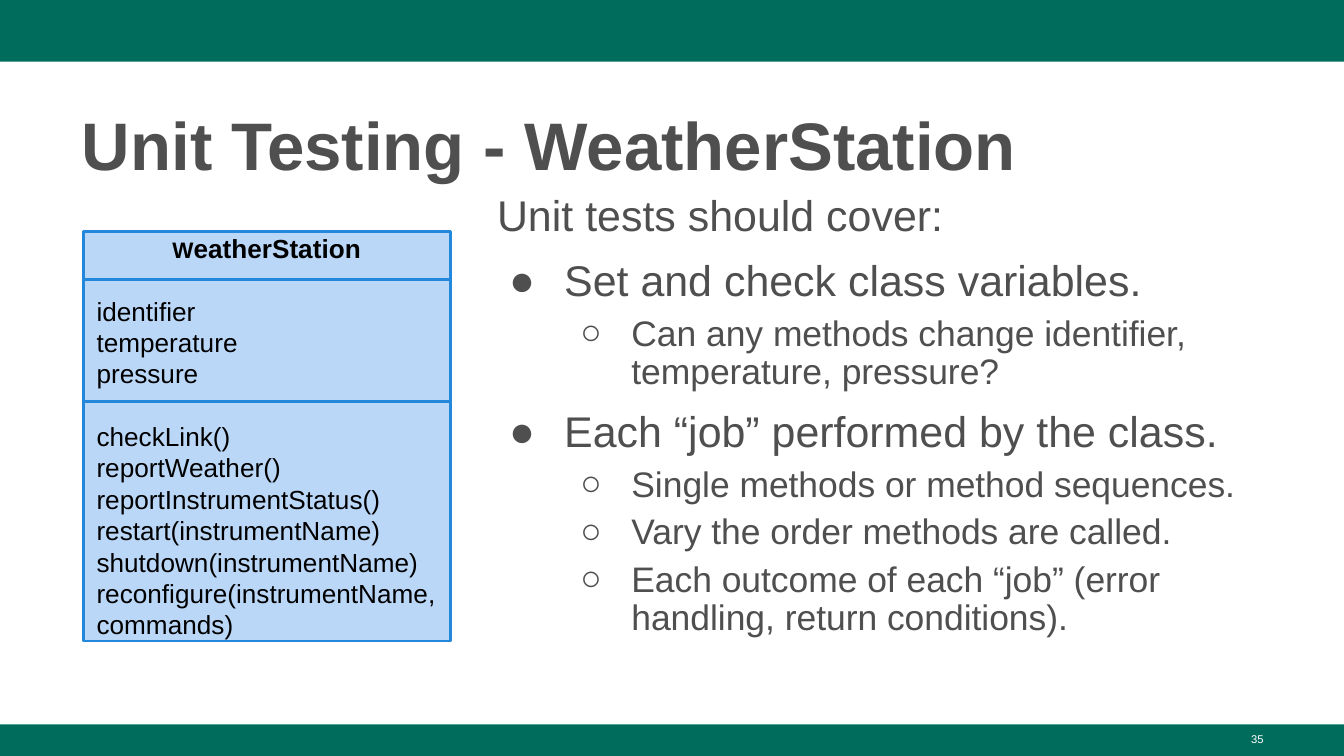
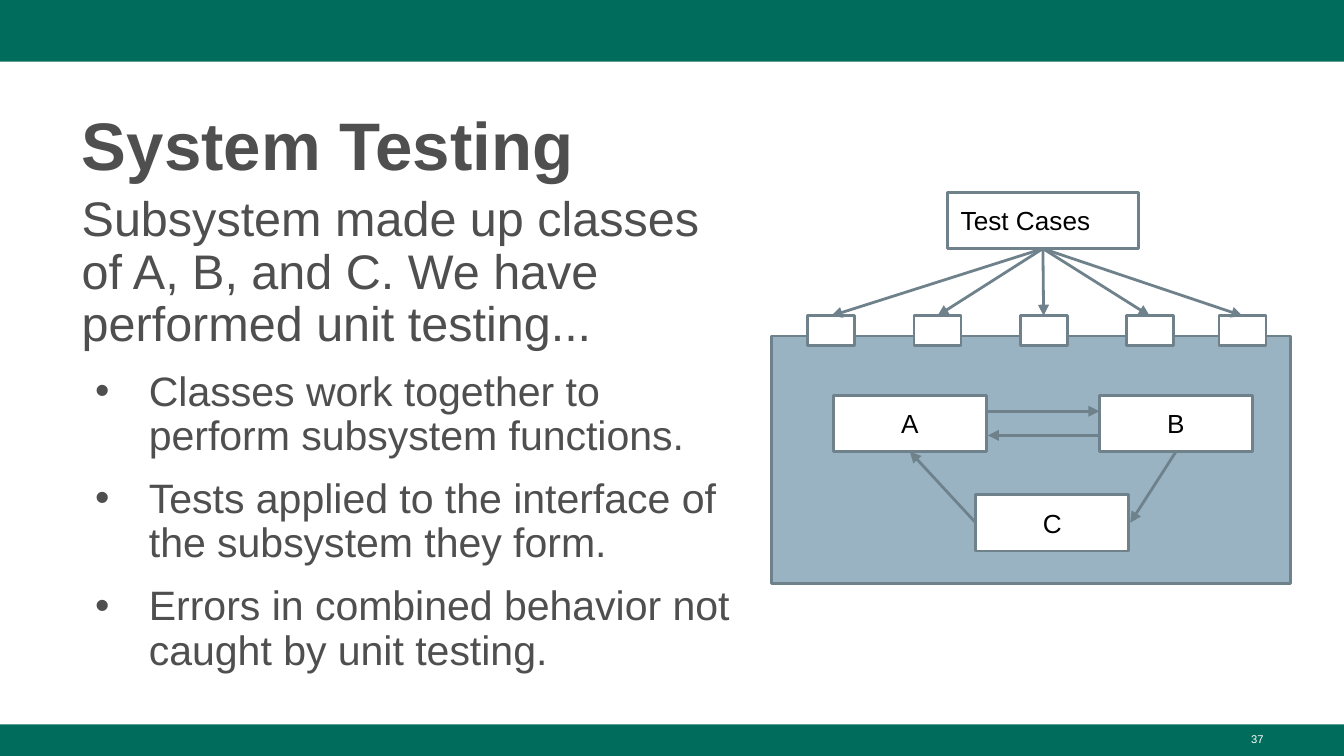
from dataclasses import dataclass

from lxml import etree
from pptx import Presentation
from pptx import util as u
from pptx.dml import color as dml
from pptx.enum import shapes, text
from pptx.oxml import ns


@dataclass(frozen=True)
class Theme:
    font: str = "Arial"
    # Colours
    band: str = "006C5C"
    ink: str = "4F4F4F"
    black: str = "000000"
    white: str = "FFFFFF"
    uml_fill: str = "BBD7F8"
    uml_line: str = "2388DB"
    system_fill: str = "99B3C2"
    system_line: str = "6F828C"
    # Type sizes and line width, in points
    title: int = 36
    intro: int = 26
    point: int = 22
    topic: int = 23
    detail: int = 19
    label: int = 14
    initial: int = 12
    number: int = 6
    stroke: float = 1.5


THEME = Theme()
WIDTH = 10
HEIGHT = WIDTH * 9 / 16
LEFT, CENTER, RIGHT = text.PP_ALIGN.LEFT, text.PP_ALIGN.CENTER, text.PP_ALIGN.RIGHT
TOP, MIDDLE = text.MSO_ANCHOR.TOP, text.MSO_ANCHOR.MIDDLE


def rgb(value):
    return dml.RGBColor.from_string(value)


def child(parent, tag, **attributes):
    return etree.SubElement(parent, ns.qn(tag), **attributes)


def write(tf, words, *, size, color=THEME.ink, bold=False, align=LEFT,
          line=None, before=0, bullet=None, indent=0, hang=0, level=0):
    """Add one paragraph; words is a string or a list of (string, size)."""
    first = not tf.text
    p = tf.paragraphs[0] if first else tf.add_paragraph()
    p.alignment, p.level = align, level
    p.space_before = u.Pt(0 if first else before)
    if line:
        p.line_spacing = line
    if bullet:
        props = p._p.get_or_add_pPr()
        props.set("marL", str(u.Inches(indent)))
        props.set("indent", str(-u.Inches(hang)))
        child(child(props, "a:buClr"), "a:srgbClr", val=color)
        child(props, "a:buFont", typeface=THEME.font)
        child(props, "a:buChar", char=bullet)
    for part, points in [(words, size)] if isinstance(words, str) else words:
        for i, row in enumerate(part.split("\n")):
            if i:
                p.add_line_break()
            r = p.add_run()
            r.text = row
            r.font.name, r.font.size, r.font.bold = THEME.font, u.Pt(points), bold
            r.font.color.rgb = rgb(color)


class Deck:
    def __init__(self, theme):
        self.theme = theme
        self.prs = Presentation()
        self.prs.slide_width = u.Inches(WIDTH)
        self.prs.slide_height = u.Inches(HEIGHT)
        self.slide = None

    def new_slide(self, title, number):
        t = self.theme
        self.slide = self.prs.slides.add_slide(self.prs.slide_layouts[5])
        # Bands
        self.box(0, 0, WIDTH, 0.46, t.band)
        self.box(0, 5.39, WIDTH, HEIGHT - 5.39, t.band)
        # Title
        sp = self.slide.shapes.title
        sp.left, sp.top, sp.width, sp.height = map(u.Inches, (0.51, 0.67, 8.99, 0.73))
        write(self.frame(sp), title, size=t.title, bold=True, line=1.08)
        # Slide number
        write(self.text_box(7.17, 5.4, 2.33, 0.23), str(number),
              size=t.number, color=t.white, align=RIGHT)

    def frame(self, sp, anchor=TOP, inset=0.05):
        tf = sp.text_frame
        tf.word_wrap = True
        tf.auto_size = text.MSO_AUTO_SIZE.NONE
        tf.vertical_anchor = anchor
        tf.margin_left = tf.margin_right = u.Inches(0.1)
        tf.margin_top = tf.margin_bottom = u.Inches(inset)
        return tf

    def text_box(self, *place):
        return self.frame(self.slide.shapes.add_textbox(*map(u.Inches, place)))

    def box(self, x, y, w, h, fill, line=None):
        sp = self.slide.shapes.add_shape(
            shapes.MSO_SHAPE.RECTANGLE, *map(u.Inches, (x, y, w, h)))
        sp.shadow.inherit = False
        sp.fill.solid()
        sp.fill.fore_color.rgb = rgb(fill)
        if line:
            sp.line.color.rgb = rgb(line)
            sp.line.width = u.Pt(self.theme.stroke)
        else:
            sp.line.fill.background()
        return self.frame(sp, MIDDLE, 0.1)

    def node(self, x, y, w, h, label=None, align=CENTER):
        t = self.theme
        tf = self.box(x, y, w, h, t.white, t.system_line)
        if label:
            write(tf, label, size=t.label, color=t.black, align=align)

    def line(self, start, end, color, arrow=False):
        cxn = self.slide.shapes.add_connector(
            shapes.MSO_CONNECTOR.STRAIGHT, *map(u.Inches, (*start, *end)))
        cxn.line.color.rgb = rgb(color)
        cxn.line.width = u.Pt(self.theme.stroke)
        if arrow:
            child(cxn.line._get_or_add_ln(), "a:tailEnd", type="triangle")
        child(cxn._element.spPr, "a:effectLst")

    def arrow(self, start, end):
        self.line(start, end, self.theme.system_line, arrow=True)


def unit_testing(deck):
    t = deck.theme
    deck.new_slide("Unit Testing - WeatherStation", 35)

    # Class diagram
    left, width = 0.62, 2.73
    tf = deck.box(left, 1.72, width, 3.05, t.uml_fill, t.uml_line)
    write(tf, [("W", t.initial), ("eatherStation", t.label)], size=t.label,
          color=t.black, bold=True, align=CENTER)
    attributes = ["identifier", "temperature", "pressure"]
    methods = ["checkLink()", "reportWeather()\nreportInstrumentStatus()",
               "restart(instrumentName)", "shutdown(instrumentName)",
               "reconfigure(instrumentName, commands)"]
    for members in (attributes, methods):
        for i, member in enumerate(members):
            write(tf, member, size=t.label, color=t.black,
                  before=0 if i else 16.8)
    for y in (2.08, 2.99):
        deck.line((left, y), (left + width, y), t.uml_line)

    # What to cover
    tf = deck.text_box(3.6, 1.4, 5.9, 3.81)
    topic = dict(size=t.topic, line=0.9, before=10, bullet="●", indent=0.5, hang=0.41)
    detail = dict(size=t.detail, line=0.9, before=5, bullet="○", indent=1,
                  hang=0.38, level=1)
    write(tf, "Unit tests should cover:", size=t.topic, line=0.9)
    for words, style in (
        ("Set and check class variables.", topic),
        ("Can any methods change identifier, temperature, pressure?", detail),
        ("Each “job” performed by the class.", topic),
        ("Single methods or method sequences.", detail),
        ("Vary the order methods are called.", detail),
        ("Each outcome of each “job” (error handling, return conditions).", detail),
    ):
        write(tf, words, **style)


def system_testing(deck):
    t = deck.theme
    deck.new_slide("System Testing", 37)

    # Explanation
    tf = deck.text_box(0.51, 1.4, 5.17, 3.81)
    write(tf, "Subsystem made up classes of A, B, and C. "
              "We have performed unit testing...", size=t.intro, line=0.9)
    for words in ("Classes work together to perform subsystem functions.",
                  "Tests applied to the interface of the subsystem they form.",
                  "Errors in combined behavior not caught by unit testing."):
        write(tf, words, size=t.point, line=0.9, before=10, bullet="•",
              indent=0.5, hang=0.4)

    # Subsystem and its classes
    deck.box(5.74, 2.5, 3.86, 1.84, t.system_fill, t.system_line)
    for label, x, y in (("A", 6.2, 2.94), ("C", 7.26, 3.68), ("B", 8.18, 2.94)):
        deck.node(x, y, 1.14, 0.42, label)
    for start, end in (((7.35, 3.06), (8.18, 3.06)), ((8.75, 3.36), (8.41, 3.89)),
                       ((7.26, 3.89), (6.77, 3.36)), ((8.18, 3.24), (7.35, 3.24))):
        deck.arrow(start, end)

    # Test cases reaching the interface ports
    deck.node(7.05, 1.43, 1.42, 0.42, "Test Cases", LEFT)
    port_top, port_width = 2.35, 0.35
    ports = [6.01 + 0.79 * i for i in range(4)] + [9.07]
    for x in ports:
        deck.node(x, port_top, port_width, 0.22)
    for x in ports:
        deck.arrow((7.76, 1.85), (x + port_width / 2, port_top))


def main():
    deck = Deck(THEME)
    unit_testing(deck)
    system_testing(deck)
    deck.prs.save("out.pptx")


if __name__ == "__main__":
    main()
